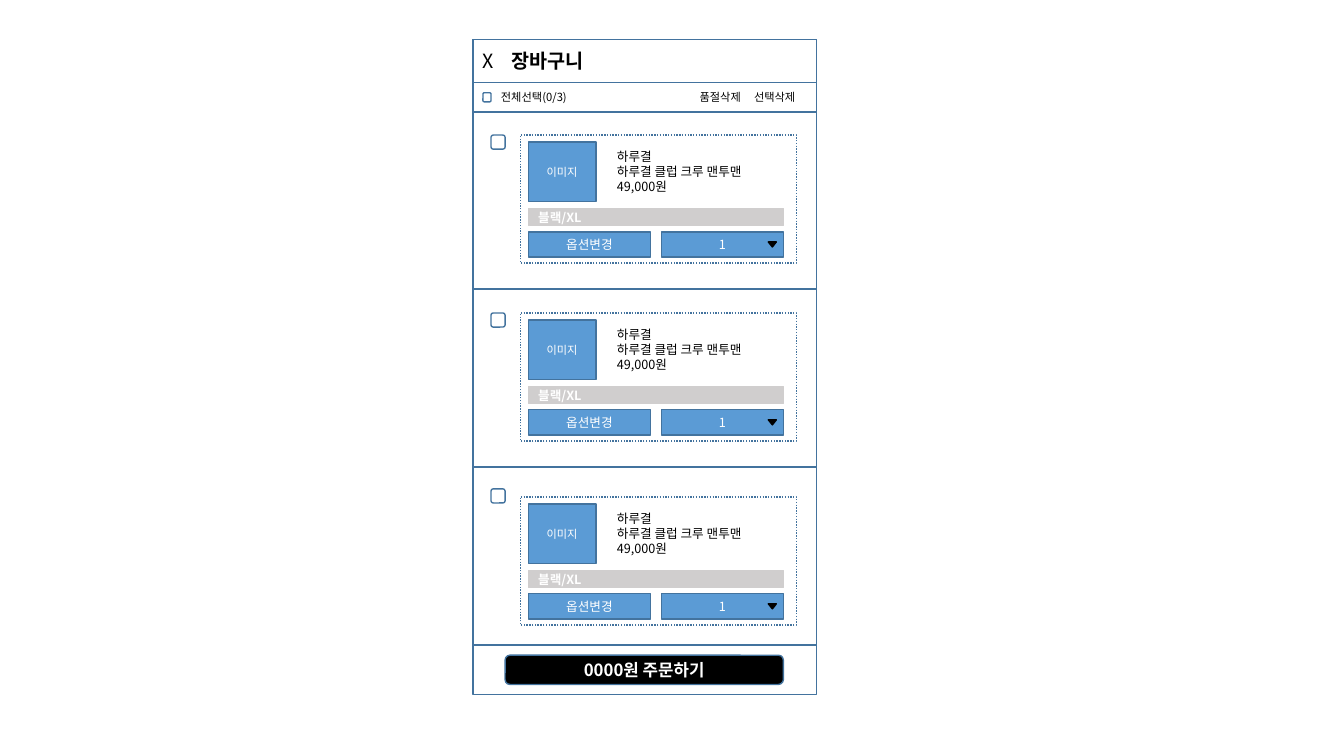
from collections import namedtuple
from dataclasses import dataclass

from lxml import etree
from pptx import Presentation
from pptx.dml.color import RGBColor
from pptx.enum.dml import MSO_LINE
from pptx.enum.shapes import MSO_SHAPE
from pptx.enum.text import MSO_ANCHOR, MSO_AUTO_SIZE, PP_ALIGN
from pptx.oxml.ns import qn
from pptx.util import Inches, Pt

RECTANGLE = MSO_SHAPE.RECTANGLE
ROUNDED = MSO_SHAPE.ROUNDED_RECTANGLE
TRIANGLE = MSO_SHAPE.ISOSCELES_TRIANGLE
DOTTED = MSO_LINE.ROUND_DOT
LEFT, CENTER = PP_ALIGN.LEFT, PP_ALIGN.CENTER
TOP, MIDDLE = MSO_ANCHOR.TOP, MSO_ANCHOR.MIDDLE
NO_AUTOFIT = MSO_AUTO_SIZE.NONE
TITLE_ONLY = 5

Box = namedtuple("Box", "left top width height")


@dataclass(frozen=True)
class Theme:
    font: str = "Noto Sans CJK KR"
    white: str = "FFFFFF"
    black: str = "000000"
    outline: str = "43739E"
    blue: str = "5B9BD5"
    gray: str = "D0CECE"
    small: int = 8
    body: int = 9
    order: int = 12
    title: int = 14


THEME = Theme()
PANEL = Box(4.69, 0.39, 3.41, 6.5)
HEADER_HEIGHT = 0.43
SELECTION_HEIGHT = 0.29
ITEM_HEIGHT = 1.76
ITEM_PITCH = 1.765
ITEM_OFFSETS = [(0.23, 0.23), (0.23, 0.23), (0.21, 0.29)]
PRODUCT_LINES = ["하루결", "하루결 클럽 크루 맨투맨", "49,000원"]


def inside(box, left, top, width, height):
    return Box(box.left + left, box.top + top, width, height)


def lengths(box):
    return [Inches(value) for value in box]


def style_run(run, size, color, bold=False):
    run.font.name = THEME.font
    run.font.size = Pt(size)
    run.font.bold = bold
    run.font.color.rgb = RGBColor.from_string(color)
    latin = run.font._element.find(qn("a:latin"))
    east_asian = etree.Element(qn("a:ea"), typeface=THEME.font)
    latin.addnext(east_asian)


def write(shape, text, size, color, bold=False, align=LEFT, anchor=MIDDLE):
    frame = shape.text_frame
    frame.text = text
    frame.word_wrap = True
    frame.vertical_anchor = anchor
    for paragraph in frame.paragraphs:
        paragraph.alignment = align
        for run in paragraph.runs:
            style_run(run, size, color, bold)


def set_tab(paragraph, position):
    properties = paragraph._p.get_or_add_pPr()
    tabs = etree.SubElement(properties, qn("a:tabLst"))
    etree.SubElement(tabs, qn("a:tab"), pos=str(Inches(position)), algn="l")


def outline(shape, color=THEME.outline):
    shape.line.color.rgb = RGBColor.from_string(color)
    shape.line.width = Pt(1)


def add_box(slide, box, fill=None, line=THEME.outline, kind=RECTANGLE):
    shape = slide.shapes.add_shape(kind, *lengths(box))
    shape.shadow.inherit = False
    if fill:
        shape.fill.solid()
        shape.fill.fore_color.rgb = RGBColor.from_string(fill)
    else:
        shape.fill.background()
    outline(shape, line)
    return shape


def add_label(slide, box, text, size):
    label = slide.shapes.add_textbox(*lengths(box))
    write(label, text, size, THEME.black, anchor=TOP)
    return label


def add_header(slide, box):
    title = slide.shapes.title
    title.element.getparent().append(title.element)
    title.left, title.top, title.width, title.height = lengths(box)
    outline(title)
    write(title, "X\t", THEME.title, THEME.black)
    title.text_frame.auto_size = NO_AUTOFIT
    paragraph = title.text_frame.paragraphs[0]
    set_tab(paragraph, 0.28)
    heading = paragraph.add_run()
    heading.text = "장바구니"
    style_run(heading, THEME.title, THEME.black, bold=True)


def add_selection_bar(slide, box):
    add_box(slide, box)
    add_box(slide, inside(box, 0.1, 0.1, 0.08, 0.09), kind=ROUNDED)
    add_label(slide, inside(box, 0.18, 0.03, 1.1, 0.24), "전체선택(0/3)", THEME.small)
    actions = add_label(slide, inside(box, 2.15, 0.03, 1.26, 0.24),
                        "품절삭제\t선택삭제", THEME.small)
    set_tab(actions.text_frame.paragraphs[0], 0.54)


def add_product_card(slide, box):
    add_box(slide, box).line.dash_style = DOTTED
    thumbnail = add_box(slide, inside(box, 0.08, 0.07, 0.67, 0.59), THEME.blue)
    write(thumbnail, "이미지", THEME.small, THEME.white, align=CENTER)
    option = add_box(slide, inside(box, 0.08, 0.73, 2.53, 0.17), THEME.gray, THEME.gray)
    write(option, "블랙/XL", THEME.body, THEME.white, bold=True)
    for left, text in [(0.08, "옵션변경"), (1.4, "1")]:
        button = add_box(slide, inside(box, left, 0.96, 1.21, 0.25), THEME.blue)
        write(button, text, THEME.body, THEME.white, align=CENTER)
    arrow = add_box(slide, inside(box, 2.46, 1.06, 0.08, 0.05),
                    THEME.black, THEME.black, TRIANGLE)
    arrow.rotation = 180
    add_label(slide, inside(box, 0.86, 0.09, 1.59, 0.56),
              "\n".join(PRODUCT_LINES), THEME.body)


def add_cart_item(slide, box, checkbox_top, card_top):
    add_box(slide, box)
    add_box(slide, inside(box, 0.18, checkbox_top, 0.14, 0.14), kind=ROUNDED)
    add_product_card(slide, inside(box, 0.47, card_top, 2.74, 1.27))


def add_order_button(slide, box):
    button = add_box(slide, box, THEME.black, kind=ROUNDED)
    write(button, "0000원 주문하기", THEME.order, THEME.white, bold=True, align=CENTER)


def add_cart_screen(slide, box):
    add_box(slide, box, THEME.white)
    add_header(slide, inside(box, 0, 0, box.width, HEADER_HEIGHT))
    add_selection_bar(slide, inside(box, 0, HEADER_HEIGHT, box.width, SELECTION_HEIGHT))
    items_top = HEADER_HEIGHT + SELECTION_HEIGHT
    for index, (checkbox_top, card_top) in enumerate(ITEM_OFFSETS):
        item = inside(box, 0, items_top + index * ITEM_PITCH, box.width, ITEM_HEIGHT)
        add_cart_item(slide, item, checkbox_top, card_top)
    add_order_button(slide, inside(box, 0.32, 6.11, 2.76, 0.29))


def main():
    presentation = Presentation()
    presentation.slide_width = Inches(13.33)
    presentation.slide_height = Inches(7.5)
    slide = presentation.slides.add_slide(presentation.slide_layouts[TITLE_ONLY])
    add_cart_screen(slide, PANEL)
    presentation.save("out.pptx")


if __name__ == "__main__":
    main()
